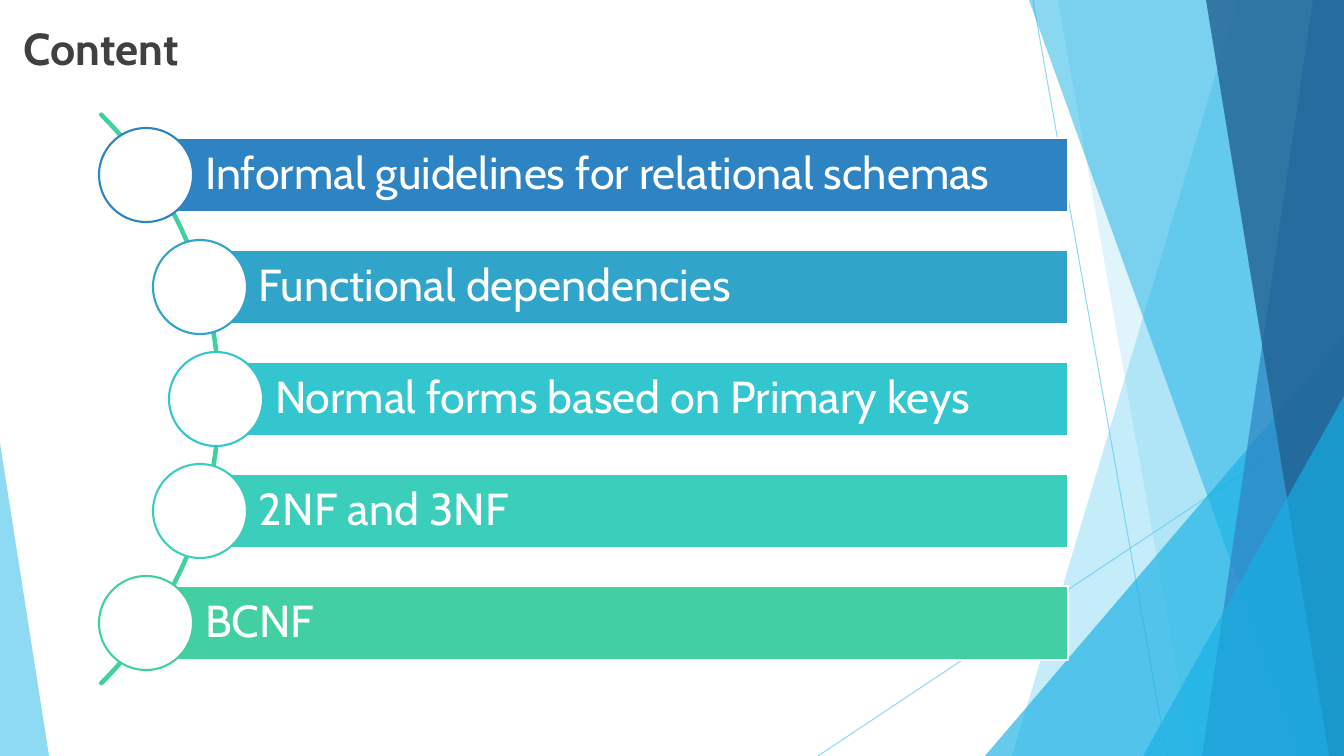
from math import cos, radians, sin
from lxml import etree
from pptx import Presentation, util as u
from pptx.dml.color import RGBColor
from pptx.enum import shapes as s, text as t
from pptx.oxml.ns import qn

PX = 9525 / 1.05
WIDE, HIGH = 1344, 756
SKY, BLUE, NAVY, CYAN = "5FCBEF", "2E83C3", "226292", "17B0E4"


def px(*nums):
    return [round(n * PX) for n in nums]


def paint(fill, tone, alpha=100):
    fill.solid()
    fill.fore_color.rgb = RGBColor.from_string(tone)
    if alpha < 100:
        node = fill._xPr.find(qn("a:solidFill"))[0]
        etree.SubElement(node, qn("a:alpha"), val=str(alpha * 1000))


deck = Presentation()
deck.slide_width, deck.slide_height = px(WIDE, HIGH)
slide = deck.slides.add_slide(deck.slide_layouts[6])
items = slide.shapes

for ends in [(1033, 0, 1167, HIGH), (WIDE, 406, 818, HIGH)]:
    wire = items.add_connector(s.MSO_CONNECTOR.STRAIGHT, *px(*ends))
    wire.line.width = u.Pt(0.75)
    paint(wire.line.fill, SKY, 70)
    etree.SubElement(wire._element.spPr, qn("a:effectLst"))

facets = [
    ("band", (1238, 1012), SKY, 36),
    ("band", (1058, 1192), SKY, 20),
    ("peak", (985, 336, WIDE, 1), CYAN, 66),
    ("band", (1029, 1301), CYAN, 50),
    ("band", (1313, 1202), BLUE, 70),
    ("band", (1206, 1329), NAVY, 80),
    ("peak", (1143, 396, WIDE, 1), CYAN, 66),
    ("peak", (0, 443, 49, 0), SKY, 70),
]
for kind, place, tone, alpha in facets:
    if kind == "band":
        top, foot = place
        pen = items.build_freeform(*px(top, 0), scale=1.0)
        pen.add_line_segments([px(WIDE, 0), px(WIDE, HIGH), px(foot, HIGH)])
        facet = pen.convert_to_shape()
    else:
        left, top, right, tip = place
        facet = items.add_shape(s.MSO_SHAPE.ISOSCELES_TRIANGLE,
                                *px(left, top, right - left, HIGH - top))
        facet.adjustments[0] = tip
    facet.shadow.inherit = False
    paint(facet.fill, tone, alpha)
    facet.line.fill.background()

title = items.add_textbox(*px(14, 16, 940, 130))
title.text_frame.word_wrap = True
head = title.text_frame.paragraphs[0]
head.text = "Content"
for key, val in {"name": "Cabin", "size": u.Pt(32), "bold": True}.items():
    setattr(head.font, key, val)
paint(head.font.fill, "404040")

curve = [px(402 * cos(radians(a)) - 183, 402 * sin(radians(a)) + 399)
         for a in range(-45, 46)]
pen = items.build_freeform(*curve[0], scale=1.0)
pen.add_line_segments(curve[1:], close=False)
arc = pen.convert_to_shape()
arc.shadow.inherit = False
arc.fill.background()
arc.line.width = u.Pt(3.25)
paint(arc.line.fill, "42D0A2")
arc.line._get_or_add_ln().set("cap", "rnd")

topics = [
    ("Informal guidelines for relational schemas", 146, BLUE),
    ("Functional dependencies", 200, "30A4C9"),
    ("Normal forms based on Primary keys", 216, "34C6CE"),
    ("2NF and 3NF", 200, "3BCFBB"),
    ("BCNF", 146, "42D0A2"),
]
edge, size = 1068, 94
for row, (label, mid, tone) in enumerate(topics):
    axis = 175 + 112 * row
    bar = items.add_shape(s.MSO_SHAPE.RECTANGLE,
                          *px(mid, axis - 37, edge - mid, 74))
    dot = items.add_shape(s.MSO_SHAPE.OVAL,
                          *px(mid - size / 2, axis - size / 2, size, size))
    for shape, fill, rim in [(bar, tone, "FFFFFF"), (dot, "FFFFFF", tone)]:
        shape.shadow.inherit = False
        paint(shape.fill, fill)
        shape.line.width = u.Pt(1.5)
        paint(shape.line.fill, rim)
    frame = bar.text_frame
    inset, pad = px(59, 9)
    form = {"margin_left": inset, "margin_right": pad, "margin_top": pad,
            "margin_bottom": pad, "word_wrap": True,
            "vertical_anchor": t.MSO_ANCHOR.MIDDLE}
    for key, val in form.items():
        setattr(frame, key, val)
    line = frame.paragraphs[0]
    line.text = label
    line.alignment = t.PP_ALIGN.LEFT
    line.line_spacing = 0.9
    line.font.name = "Cabin"
    line.font.size = u.Pt(32)
    paint(line.font.fill, "FFFFFF")

deck.save("out.pptx")
